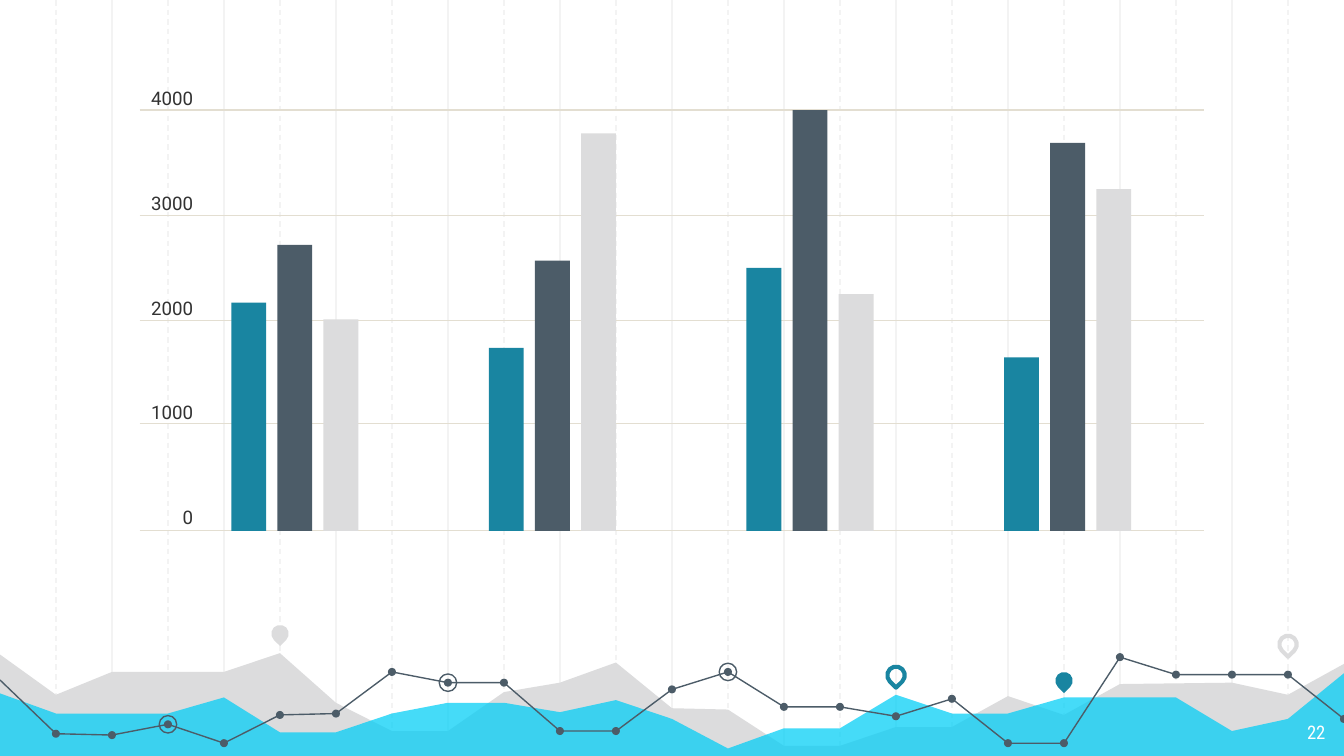
from dataclasses import dataclass

from lxml import etree
from pptx import Presentation
from pptx.dml.color import RGBColor
from pptx.enum.dml import MSO_LINE
from pptx.enum.shapes import MSO_CONNECTOR, MSO_SHAPE
from pptx.enum.text import PP_ALIGN
from pptx.oxml.ns import qn
from pptx.util import Inches, Pt

STRAIGHT = MSO_CONNECTOR.STRAIGHT
RECTANGLE, OVAL, TEARDROP = MSO_SHAPE.RECTANGLE, MSO_SHAPE.OVAL, MSO_SHAPE.TEAR
DASH = MSO_LINE.DASH
RIGHT = PP_ALIGN.RIGHT

WIDTH, HEIGHT = 10, 5.625
COLUMNS = 24
TEAL, SLATE, SILVER, CYAN = "1985A1", "4C5C68", "DCDCDD", "00CEF6"
PALE, SAND, INK, WHITE = "F3F3F3", "E3DED1", "323232", "FFFFFF"

SILVER_WAVE = [(0, 27), (1, 57), (2, 40), (4, 40), (5, 26), (6, 63), (7, 84),
               (8, 84), (9, 55), (10, 48), (11, 33), (12, 67), (13, 68),
               (14, 95), (15, 95), (16, 81), (17, 81), (18, 58), (19, 72),
               (20, 49), (22, 48), (23, 57), (24, 34)]
CYAN_WAVE = [(0, 56), (1, 71), (3, 71), (4, 59), (5, 85), (6, 85), (7, 71),
             (8, 63), (9, 63), (10, 70), (11, 61), (12, 75), (13, 97),
             (14, 82), (15, 82), (16, 57), (17, 71), (18, 71), (19, 59),
             (21, 59), (22, 84), (23, 75), (24, 41)]
TREND = list(enumerate([46, 86, 87, 79, 93, 72, 71, 40, 48, 48, 84, 84, 53, 40,
                        66, 66, 73, 60, 93, 93, 29, 42, 42, 42, 75]))
TREND_BREAKS = [0, 11, 20, 24]
RINGED_COLUMNS = [3, 8, 13]
PINS = [(5, 11.5, SILVER, True), (16, 42.5, TEAL, False),
        (19, 46.5, TEAL, True), (23, 19.5, SILVER, False)]

BAR_COLORS = [TEAL, SLATE, SILVER]
BAR_GROUPS = [[2170, 2720, 2010], [1740, 2570, 3780],
              [2500, 4000, 2250], [1650, 3690, 3250]]
AXIS_LABELS = ["4000", "3000", "2000", "1000", "0"]
GRIDLINE_SHARES = [0, 0.25, 0.5, 0.745, 1]


@dataclass
class Box:
    """A region of the slide, in inches."""
    left: float
    top: float
    width: float
    height: float

    def point(self, across, down):
        """Turn shares of the box into a place on the slide."""
        return self.left + across * self.width, self.top + down * self.height


def color(value):
    """Make a colour from a hex string."""
    return RGBColor.from_string(value)


def style(shape, fill=None, line=None, weight=0.75):
    """Set the fill and outline of a shape and drop its shadow."""
    shape.shadow.inherit = False
    if fill:
        shape.fill.solid()
        shape.fill.fore_color.rgb = color(fill)
    else:
        shape.fill.background()
    if line:
        shape.line.color.rgb = color(line)
        shape.line.width = Pt(weight)
    else:
        shape.line.fill.background()


def add_line(slide, start, end, hex_color, dashed=False):
    """Draw a thin straight line."""
    line = slide.shapes.add_connector(STRAIGHT, *map(Inches, start + end))
    line.line.color.rgb = color(hex_color)
    line.line.width = Pt(0.75)
    if dashed:
        line.line.dash_style = DASH
    etree.SubElement(line._element.spPr, qn("a:effectLst"))


def add_outline(slide, points, closed):
    """Build a freeform through points given in inches."""
    corners = [(Inches(x), Inches(y)) for x, y in points]
    builder = slide.shapes.build_freeform(*corners[0], scale=1.0)
    builder.add_line_segments(corners[1:], close=closed)
    return builder.convert_to_shape()


def add_centered(slide, kind, center, size):
    """Place a preset shape around a centre."""
    x, y = center
    return slide.shapes.add_shape(
        kind, Inches(x - size / 2), Inches(y - size / 2), Inches(size), Inches(size))


def add_text(slide, box, lines, font, hex_color, inset=0, gap=0):
    """Write right-aligned lines of text in a box."""
    shape = slide.shapes.add_textbox(
        *map(Inches, (box.left, box.top, box.width, box.height)))
    frame = shape.text_frame
    frame.word_wrap = True
    frame.margin_left = frame.margin_right = Inches(inset)
    frame.margin_top = frame.margin_bottom = Inches(inset)
    for index, text in enumerate(lines):
        paragraph = frame.add_paragraph() if index else frame.paragraphs[0]
        paragraph.alignment = RIGHT
        paragraph.space_before = Pt(gap if index else 0)
        run = paragraph.add_run()
        run.text = text
        run.font.size = Pt(10)
        run.font.name = font
        run.font.color.rgb = color(hex_color)


def add_backdrop(slide, box):
    """Draw the solid even columns, then the dashed odd ones."""
    for first in (2, 1):
        for column in range(first, COLUMNS, 2):
            share = column / COLUMNS
            add_line(slide, box.point(share, 0), box.point(share, 1), PALE, first == 1)


def add_landscape(slide, box):
    """Draw the waves, pins and trend line along the foot of the slide."""
    def place(column, row):
        """Find a grid place inside the box."""
        return box.point(column / COLUMNS, row / 100)

    for wave, fill in ((SILVER_WAVE, SILVER), (CYAN_WAVE, CYAN)):
        corners = wave + [(COLUMNS, 104), (0, 104)]
        shape = add_outline(slide, [place(*corner) for corner in corners], True)
        style(shape, fill)
    solid = shape._element.spPr.find(qn("a:solidFill"))
    etree.SubElement(solid[0], qn("a:alpha"), val="73000")

    for column, row, hex_color, filled in PINS:
        pin = add_centered(slide, TEARDROP, place(column, row), 0.13)
        pin.rotation = 135
        if filled:
            style(pin, hex_color)
        else:
            style(pin, line=hex_color, weight=2.25)

    for first, last in zip(TREND_BREAKS, TREND_BREAKS[1:]):
        points = [place(*point) for point in TREND[first:last + 1]]
        style(add_outline(slide, points, False), line=SLATE)
    for point in TREND[1:]:
        style(add_centered(slide, OVAL, place(*point), 0.06), SLATE)
    for column in RINGED_COLUMNS:
        style(add_centered(slide, OVAL, place(*TREND[column]), 0.13), line=SLATE)


def add_bar_graph(slide, box):
    """Draw the gridlines, axis labels and grouped bars."""
    for share in GRIDLINE_SHARES:
        add_line(slide, box.point(0, share), box.point(1, share), SAND)
    labels = Box(box.left, box.top - 0.17, box.width * 0.05, box.height + 0.17)
    add_text(slide, labels, AXIS_LABELS, "Roboto", INK, gap=44)

    bar_width, bar_step, group_step = 0.26, 0.343, box.width * 0.242
    first_left = box.left + box.width * 0.086
    for group, values in enumerate(BAR_GROUPS):
        for index, (value, fill) in enumerate(zip(values, BAR_COLORS)):
            left = first_left + group * group_step + index * bar_step
            height = box.height * value / 4000
            bar = slide.shapes.add_shape(
                RECTANGLE, Inches(left), Inches(box.top + box.height - height),
                Inches(bar_width), Inches(height))
            style(bar, fill)


def main():
    """Build the slide and save it."""
    presentation = Presentation()
    presentation.slide_width, presentation.slide_height = Inches(WIDTH), Inches(HEIGHT)
    slide = presentation.slides.add_slide(presentation.slide_layouts[6])
    add_backdrop(slide, Box(0, 0, WIDTH, HEIGHT))
    add_landscape(slide, Box(0, 4.6, WIDTH, 1))
    add_text(slide, Box(9.36, 5.28, 0.6, 0.35), ["22"], "Roboto Condensed", WHITE, inset=0.1)
    add_bar_graph(slide, Box(1.04, 0.82, 7.92, 3.13))
    presentation.save("out.pptx")


if __name__ == "__main__":
    main()
